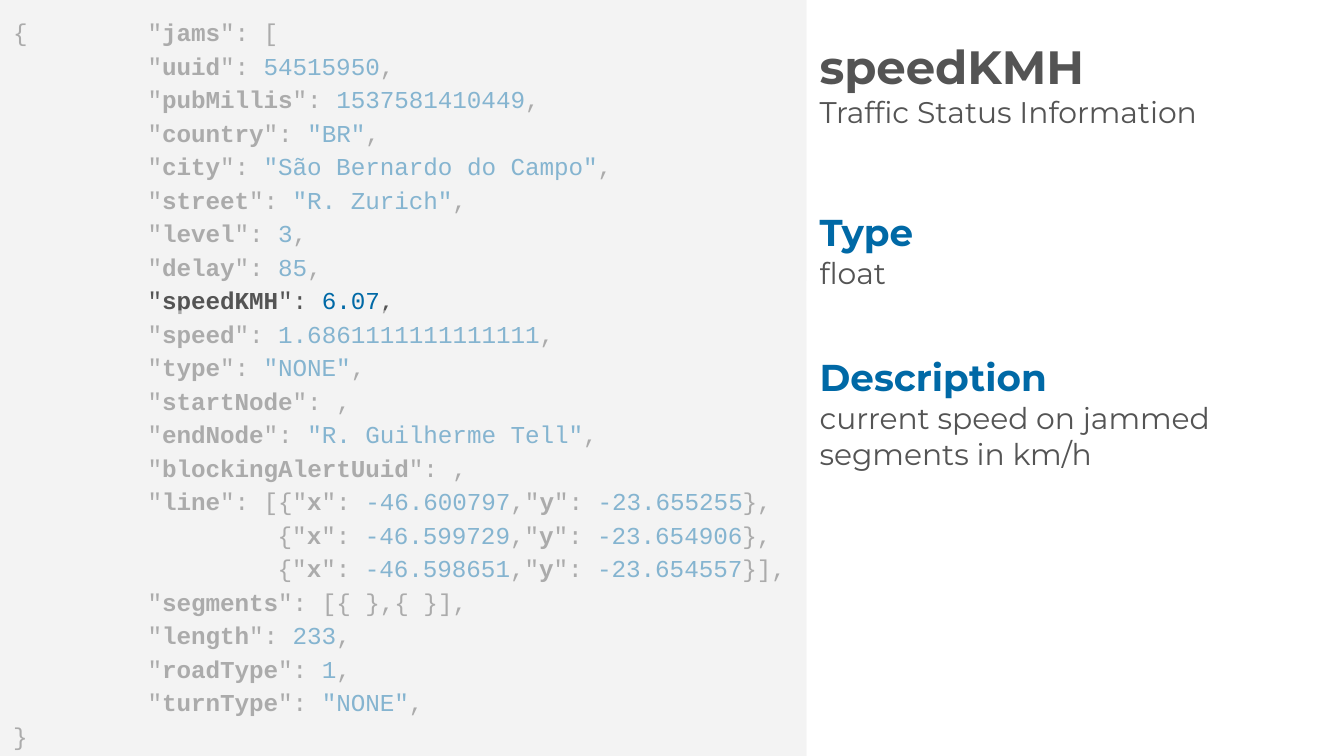
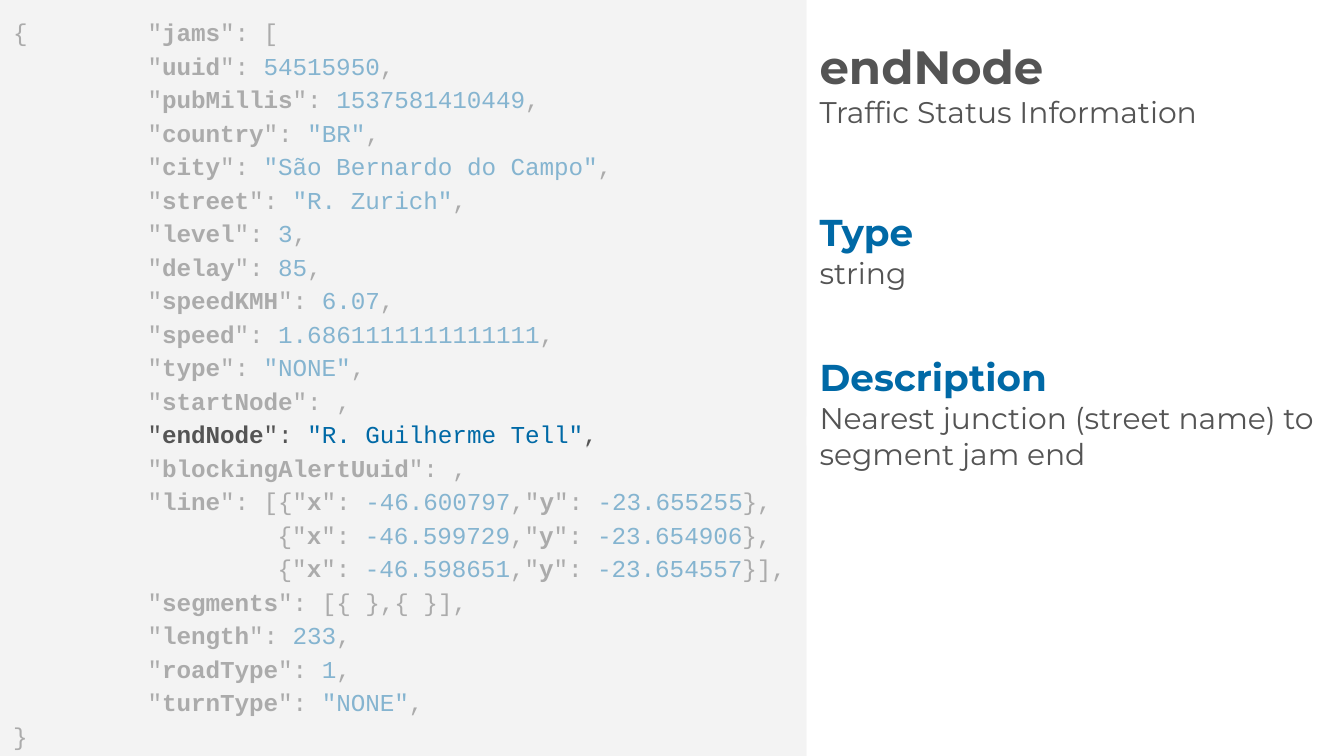
from dataclasses import dataclass
from typing import NamedTuple

import pptx
import pptx.dml.color
import pptx.enum.shapes
import pptx.enum.text
import pptx.oxml
import pptx.oxml.ns
import pptx.util
from pptx.util import Cm, Pt

RGB = pptx.dml.color.RGBColor
ANCHOR = pptx.enum.text.MSO_ANCHOR


@dataclass(frozen=True)
class Theme:
    panel: RGB = RGB(0xF3, 0xF3, 0xF3)
    ink: RGB = RGB(0x54, 0x54, 0x54)
    accent: RGB = RGB(0x00, 0x69, 0xA6)
    code_font: str = "Courier New"
    text_font: str = "Montserrat"
    code_size: int = 13
    title_size: int = 25
    heading_size: int = 20
    body_size: int = 16
    code_spacing: float = 1.15
    veil_opacity: int = 55


THEME = Theme()

SLIDE_WIDTH, SLIDE_HEIGHT = Cm(25.4), Cm(14.29)
PANEL_WIDTH = Cm(15.24)
DETAIL_WIDTH = SLIDE_WIDTH - PANEL_WIDTH
INSET = Cm(0.25)
CODE_INDENT, POINT_INDENT = Cm(2.54), Cm(5)
ROW_PITCH, FIRST_ROW_BOTTOM, FOCUS_GAP = Cm(0.64), Cm(0.75), Cm(0.56)
HEADING_TO_BODY = Cm(0.85)


class Token(NamedTuple):
    text: str
    bold: bool = False
    color: RGB = THEME.ink


class CodeLine(NamedTuple):
    tokens: list[Token]
    margin: int = CODE_INDENT
    first_indent: int = 0
    field: str = ""


class Box(NamedTuple):
    left: int
    top: int
    width: int
    height: int


class TextLine(NamedTuple):
    text: str
    size: int
    bold: bool = False
    color: RGB = THEME.ink


class Section(NamedTuple):
    heading: str
    top: int
    body_width: int
    body_height: int


class FieldPage(NamedTuple):
    field: str
    type_name: str
    description: str


def key_tokens(key: str) -> list[Token]:
    return [Token('"'), Token(key, bold=True), Token('": ')]


def pair_tokens(key: str, value: str) -> list[Token]:
    return key_tokens(key) + [Token(value, color=THEME.accent)]


def entry(key: str, value: str = "") -> CodeLine:
    tokens = pair_tokens(key, value) if value else key_tokens(key)
    return CodeLine(tokens + [Token(",")], field=key)


def point_tokens(x: str, y: str, closing: str) -> list[Token]:
    return [Token("{"), *pair_tokens("x", x), Token(","),
            *pair_tokens("y", y), Token(closing)]


CODE_LINES = [
    CodeLine([Token("{\t"), *key_tokens("jams"), Token("[")],
             first_indent=-CODE_INDENT, field="jams"),
    entry("uuid", "54515950"),
    entry("pubMillis", "1537581410449"),
    entry("country", '"BR"'),
    entry("city", '"São Bernardo do Campo"'),
    entry("street", '"R. Zurich"'),
    entry("level", "3"),
    entry("delay", "85"),
    entry("speedKMH", "6.07"),
    entry("speed", "1.6861111111111111"),
    entry("type", '"NONE"'),
    entry("startNode"),
    entry("endNode", '"R. Guilherme Tell"'),
    entry("blockingAlertUuid"),
    CodeLine([*key_tokens("line"), Token("["),
              *point_tokens("-46.600797", "-23.655255", "},")], field="line"),
    CodeLine(point_tokens("-46.599729", "-23.654906", "},"), POINT_INDENT),
    CodeLine(point_tokens("-46.598651", "-23.654557", "}],"), POINT_INDENT),
    CodeLine([*key_tokens("segments"), Token("[{ },{ }],")], field="segments"),
    entry("length", "233"),
    entry("roadType", "1"),
    entry("turnType", '"NONE"'),
    CodeLine([Token("}")], margin=0),
]

TITLE_BOX = Box(PANEL_WIDTH, Cm(0.41), DETAIL_WIDTH, Cm(2.34))
SUBTITLE = "Traffic Status Information"
HEADING_WIDTH, HEADING_HEIGHT = Cm(4.9), Cm(1.27)
TYPE_SECTION = Section("Type", Cm(3.71), Cm(9.14), Cm(2.21))
DESCRIPTION_SECTION = Section("Description", Cm(6.45), DETAIL_WIDTH, Cm(6.68))

PAGES = [
    FieldPage("speedKMH", "float", "current speed on jammed segments in km/h"),
    FieldPage("endNode", "string",
              "Nearest junction (street name) to segment jam end"),
]


def prepare_frame(frame, anchor) -> None:
    frame.word_wrap = True
    frame.vertical_anchor = anchor
    frame.margin_left = frame.margin_right = INSET
    frame.margin_top = frame.margin_bottom = INSET


def next_paragraph(frame, index: int):
    paragraph = frame.add_paragraph() if index else frame.paragraphs[0]
    paragraph.alignment = pptx.enum.text.PP_ALIGN.LEFT
    return paragraph


def add_panel(slide, top: int):
    panel = slide.shapes.add_shape(
        pptx.enum.shapes.MSO_SHAPE.RECTANGLE, 0, top, PANEL_WIDTH, SLIDE_HEIGHT)
    panel.shadow.inherit = False
    panel.fill.solid()
    panel.fill.fore_color.rgb = THEME.panel
    panel.line.fill.background()
    return panel


def add_code(slide) -> None:
    frame = add_panel(slide, 0).text_frame
    prepare_frame(frame, ANCHOR.TOP)
    for index, line in enumerate(CODE_LINES):
        paragraph = next_paragraph(frame, index)
        paragraph.line_spacing = THEME.code_spacing
        paragraph.font.name = THEME.code_font
        paragraph.font.size = Pt(THEME.code_size)
        properties = paragraph._p.get_or_add_pPr()
        properties.set("marL", str(int(line.margin)))
        properties.set("indent", str(int(line.first_indent)))
        for token in line.tokens:
            run = paragraph.add_run()
            run.text = token.text
            run.font.bold = token.bold
            run.font.color.rgb = token.color


def add_veil(slide, top: int) -> None:
    """Fade the code under a translucent panel."""
    veil = add_panel(slide, top)
    color = veil._element.spPr.find(".//" + pptx.oxml.ns.qn("a:srgbClr"))
    alpha = pptx.oxml.parse_xml(
        f'<a:alpha {pptx.oxml.ns.nsdecls("a")} val="{THEME.veil_opacity * 1000}"/>')
    color.append(alpha)


def spotlight(slide, field: str) -> None:
    """Veil all code except the row of the given field."""
    row = [line.field for line in CODE_LINES].index(field)
    lower_top = FIRST_ROW_BOTTOM + row * ROW_PITCH
    add_veil(slide, lower_top)
    add_veil(slide, lower_top - FOCUS_GAP - SLIDE_HEIGHT)


def add_text(slide, box: Box, lines: list[TextLine], anchor=ANCHOR.TOP) -> None:
    frame = slide.shapes.add_textbox(*box).text_frame
    prepare_frame(frame, anchor)
    for index, line in enumerate(lines):
        paragraph = next_paragraph(frame, index)
        paragraph.text = line.text
        paragraph.font.name = THEME.text_font
        paragraph.font.size = Pt(line.size)
        paragraph.font.bold = line.bold
        paragraph.font.color.rgb = line.color


def add_section(slide, section: Section, body: str) -> None:
    add_text(slide, Box(PANEL_WIDTH, section.top, HEADING_WIDTH, HEADING_HEIGHT),
             [TextLine(section.heading, THEME.heading_size, True, THEME.accent)])
    add_text(slide, Box(PANEL_WIDTH, section.top + HEADING_TO_BODY,
                        section.body_width, section.body_height),
             [TextLine(body, THEME.body_size)])


def add_page(deck, page: FieldPage) -> None:
    slide = deck.slides.add_slide(deck.slide_layouts[6])
    add_code(slide)
    add_text(slide, TITLE_BOX,
             [TextLine(page.field, THEME.title_size, bold=True),
              TextLine(SUBTITLE, THEME.body_size)], ANCHOR.MIDDLE)
    add_section(slide, TYPE_SECTION, page.type_name)
    add_section(slide, DESCRIPTION_SECTION, page.description)
    spotlight(slide, page.field)


def main() -> None:
    deck = pptx.Presentation()
    deck.slide_width, deck.slide_height = SLIDE_WIDTH, SLIDE_HEIGHT
    for page in PAGES:
        add_page(deck, page)
    deck.save("out.pptx")


if __name__ == "__main__":
    main()
